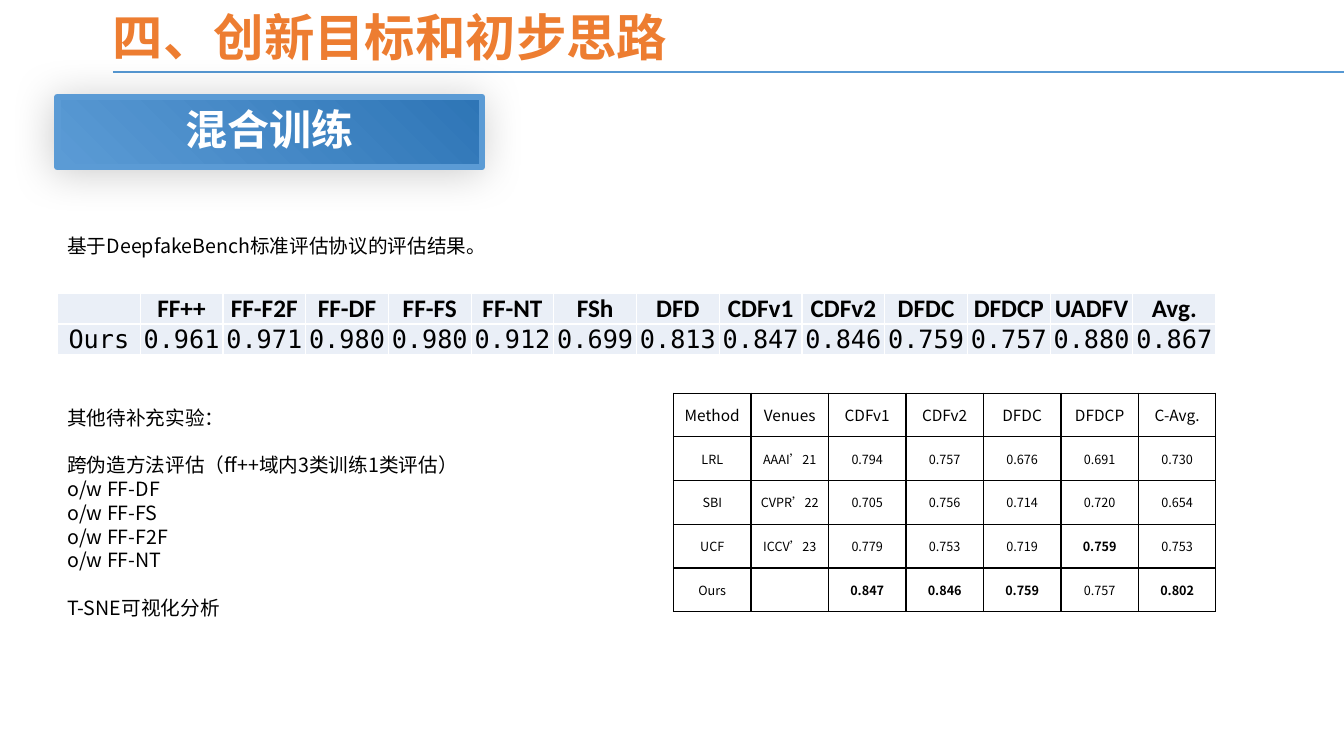
from lxml import etree
from pptx import Presentation
from pptx.dml.color import RGBColor
from pptx.enum.dml import MSO_THEME_COLOR
from pptx.enum.shapes import MSO_CONNECTOR, MSO_SHAPE
from pptx.enum.text import MSO_ANCHOR, PP_ALIGN
from pptx.oxml.ns import qn
from pptx.util import Inches, Pt

CENTER, LEFT = PP_ALIGN.CENTER, PP_ALIGN.LEFT
MIDDLE = MSO_ANCHOR.MIDDLE
STRAIGHT, RECT = MSO_CONNECTOR.STRAIGHT, MSO_SHAPE.RECTANGLE

WIDTH, HEIGHT = 13.33, 7.5
MARGIN, RIGHT = 0.57, 12.06


class Theme:
    orange, white, black = "ED7D31", "FFFFFF", "000000"
    rule, dark, light, band = "5698D3", "2E75B6", "5B9BD5", "EAEFF7"
    cjk = "Noto Sans CJK SC"
    title = dict(name="Arial", size=36, bold=True, color=orange)
    banner = dict(name=cjk, size=30, bold=True, color=white)
    body = dict(name=cjk, size=14, bold=False, color=black)
    score_head = dict(name="Calibri", size=18, bold=True, color=black)
    score = dict(name="DejaVu Sans Mono", size=18, bold=False, color=black)
    method_head = dict(name=cjk, size=11, bold=False, color=black)
    method = dict(name=cjk, size=9, bold=False, color=black)


def rgb(code):
    return RGBColor.from_string(code)


def set_font(font, style):
    values = dict(name=style["name"], size=Pt(style["size"]), bold=style["bold"])
    for key, value in values.items():
        setattr(font, key, value)
    font.color.rgb = rgb(style["color"])


def write(p, text, style, align=LEFT):
    p.alignment = align
    if not text:
        # An empty cell keeps the size of its row
        etree.SubElement(p._p, qn("a:endParaRPr"), sz=str(style["size"] * 100))
        return
    r = p.add_run()
    r.text = text
    set_font(r.font, style)
    ea = etree.SubElement(r._r.get_or_add_rPr(), qn("a:ea"))
    ea.set("typeface", Theme.cjk)


def add_text(slide, box, groups, style, leading):
    """Groups of lines, set apart by one line of space."""
    tf = slide.shapes.add_textbox(*map(Inches, box)).text_frame
    tf.word_wrap = True
    lines = [(line, g > 0 and i == 0)
             for g, group in enumerate(groups) for i, line in enumerate(group)]
    for n, (line, gap) in enumerate(lines):
        p = tf.add_paragraph() if n else tf.paragraphs[0]
        p.line_spacing = Pt(leading)
        if gap:
            p.space_before = Pt(leading)
        write(p, line, style)


def add_heading(slide, box, text):
    left, top, width, height = box
    add_text(slide, box, [[text]], Theme.title, 44)
    # Rule from the text edge to the slide edge
    y = Inches(top + height)
    line = slide.shapes.add_connector(STRAIGHT, Inches(left + 0.1), y, Inches(WIDTH), y)
    line.line.color.rgb = rgb(Theme.rule)
    line.line.width = Pt(1.5)
    etree.SubElement(line._element.spPr, qn("a:effectLst"))


def add_banner(slide, box, text):
    sp = slide.shapes.add_shape(RECT, *map(Inches, box))
    sp.fill.gradient()
    sp.fill.gradient_angle = 225
    for stop, color in zip(sp.fill.gradient_stops, (Theme.dark, Theme.light)):
        stop.color.rgb = rgb(color)
    sp.line.color.rgb = rgb(Theme.light)
    sp.line.width = Pt(4.5)
    # Soft shadow
    sp.shadow.inherit = False
    effects = sp._element.spPr.find(qn("a:effectLst"))
    shadow = etree.SubElement(effects, qn("a:outerShdw"), blurRad=str(Pt(30)),
                              dist=str(Pt(3)), dir="8100000", rotWithShape="0")
    color = etree.SubElement(shadow, qn("a:srgbClr"), val=Theme.black)
    etree.SubElement(color, qn("a:alpha"), val="20000")
    tf = sp.text_frame
    tf.vertical_anchor = MIDDLE
    tf.paragraphs[0].line_spacing = 0.9
    write(tf.paragraphs[0], text, Theme.banner, CENTER)


def set_borders(cell, color):
    tcPr = cell._tc.get_or_add_tcPr()
    for n, side in enumerate(("a:lnL", "a:lnR", "a:lnT", "a:lnB")):
        ln = etree.Element(qn(side), w=str(Pt(1)))
        fill = etree.SubElement(ln, qn("a:solidFill"))
        etree.SubElement(fill, qn("a:srgbClr"), val=color)
        tcPr.insert(n, ln)


def add_grid(slide, box, rows, head, body, border, fill=None, inset=0.01, best=()):
    """Table of equal cells; best lists the (row, column) places in bold."""
    left, top, width, height = map(Inches, box)
    table = slide.shapes.add_table(len(rows), len(rows[0]), left, top, width, height).table
    table.first_row = table.horz_banding = False
    for column in table.columns:
        column.width = width // len(rows[0])
    for r, row in enumerate(rows):
        table.rows[r].height = height // len(rows)
        for c, text in enumerate(row):
            cell = table.cell(r, c)
            cell.vertical_anchor = MIDDLE
            cell.margin_left = cell.margin_right = Inches(inset)
            cell.margin_top = cell.margin_bottom = 0
            if fill:
                cell.fill.solid()
                cell.fill.fore_color.rgb = rgb(fill)
            else:
                cell.fill.background()
            set_borders(cell, border)
            style = body if r else head
            if (r, c) in best:
                style = dict(style, bold=True)
            write(cell.text_frame.paragraphs[0], text, style, CENTER)


SCORES = [
    ["", "FF++", "FF-F2F", "FF-DF", "FF-FS", "FF-NT", "FSh", "DFD",
     "CDFv1", "CDFv2", "DFDC", "DFDCP", "UADFV", "Avg."],
    ["Ours", "0.961", "0.971", "0.980", "0.980", "0.912", "0.699", "0.813",
     "0.847", "0.846", "0.759", "0.757", "0.880", "0.867"],
]
METHODS = [
    ["Method", "Venues", "CDFv1", "CDFv2", "DFDC", "DFDCP", "C-Avg."],
    ["LRL", "AAAI’21", "0.794", "0.757", "0.676", "0.691", "0.730"],
    ["SBI", "CVPR’22", "0.705", "0.756", "0.714", "0.720", "0.654"],
    ["UCF", "ICCV’23", "0.779", "0.753", "0.719", "0.759", "0.753"],
    ["Ours", "", "0.847", "0.846", "0.759", "0.757", "0.802"],
]
BEST = {(3, 5), (4, 2), (4, 3), (4, 4), (4, 6)}
TODO = [
    ["其他待补充实验："],
    ["跨伪造方法评估（ff++域内3类训练1类评估）",
     "o/w FF-DF", "o/w FF-FS", "o/w FF-F2F", "o/w FF-NT"],
    ["T-SNE可视化分析"],
]


def main():
    prs = Presentation()
    prs.slide_width, prs.slide_height = Inches(WIDTH), Inches(HEIGHT)
    slide = prs.slides.add_slide(prs.slide_layouts[6])

    # Heading and topic
    add_heading(slide, (1.02, 0, 8.82, 0.71), "四、创新目标和初步思路")
    add_banner(slide, (MARGIN, 0.96, 4.21, 0.7), "混合训练")

    # Results on the benchmark
    add_text(slide, (MARGIN, 2.27, 4.73, 0.34),
             [["基于DeepfakeBench标准评估协议的评估结果。"]], Theme.body, 17)
    add_grid(slide, (MARGIN, 2.91, RIGHT - MARGIN, 0.61), SCORES,
             Theme.score_head, Theme.score, Theme.white, fill=Theme.band)

    # Open experiments and comparison of methods
    add_text(slide, (MARGIN, 3.97, 4.73, 2.22), TODO, Theme.body, 17)
    add_grid(slide, (6.68, 3.9, RIGHT - 6.68, 2.17), METHODS,
             Theme.method_head, Theme.method, Theme.black, inset=0.07, best=BEST)

    prs.save("out.pptx")


if __name__ == "__main__":
    main()
